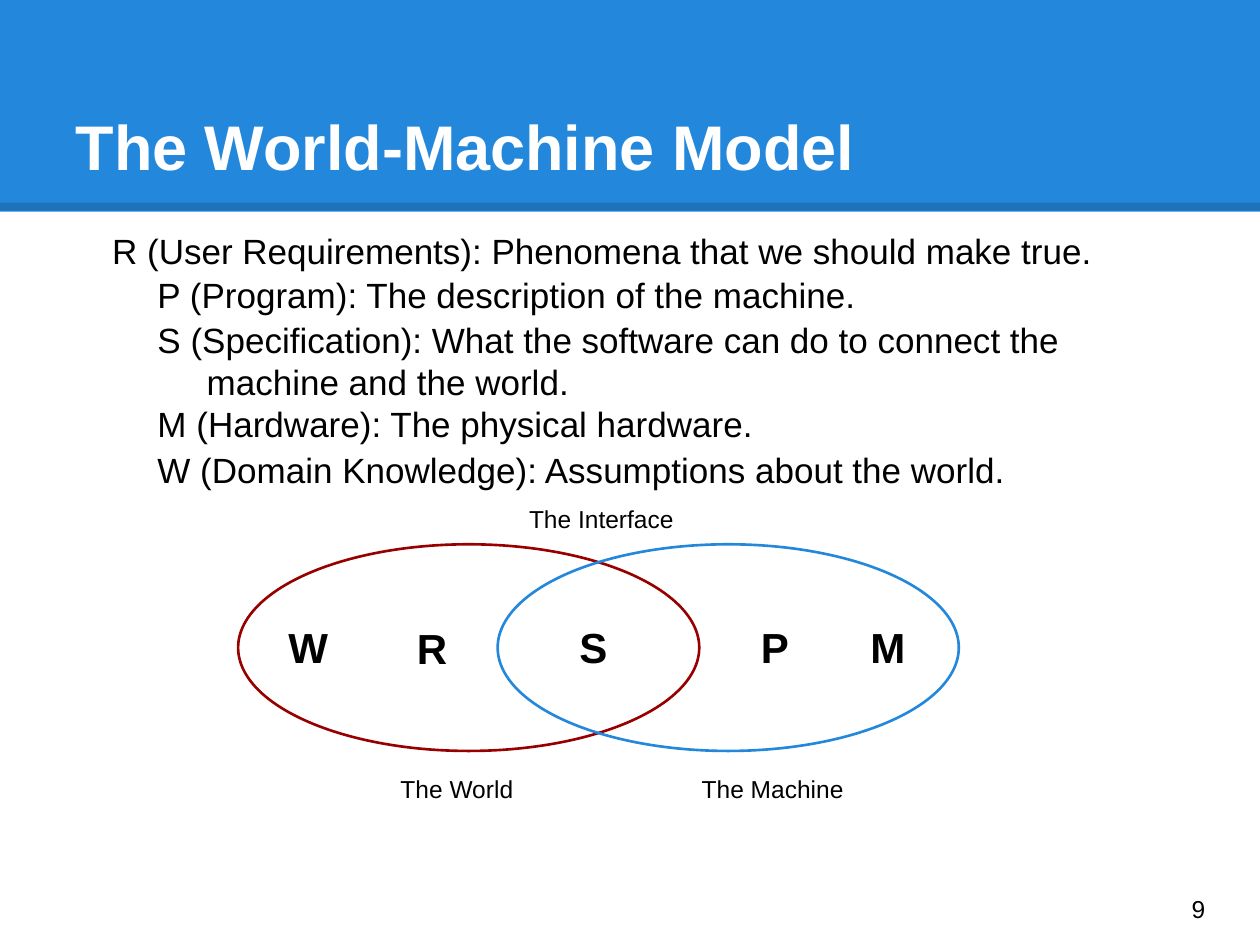
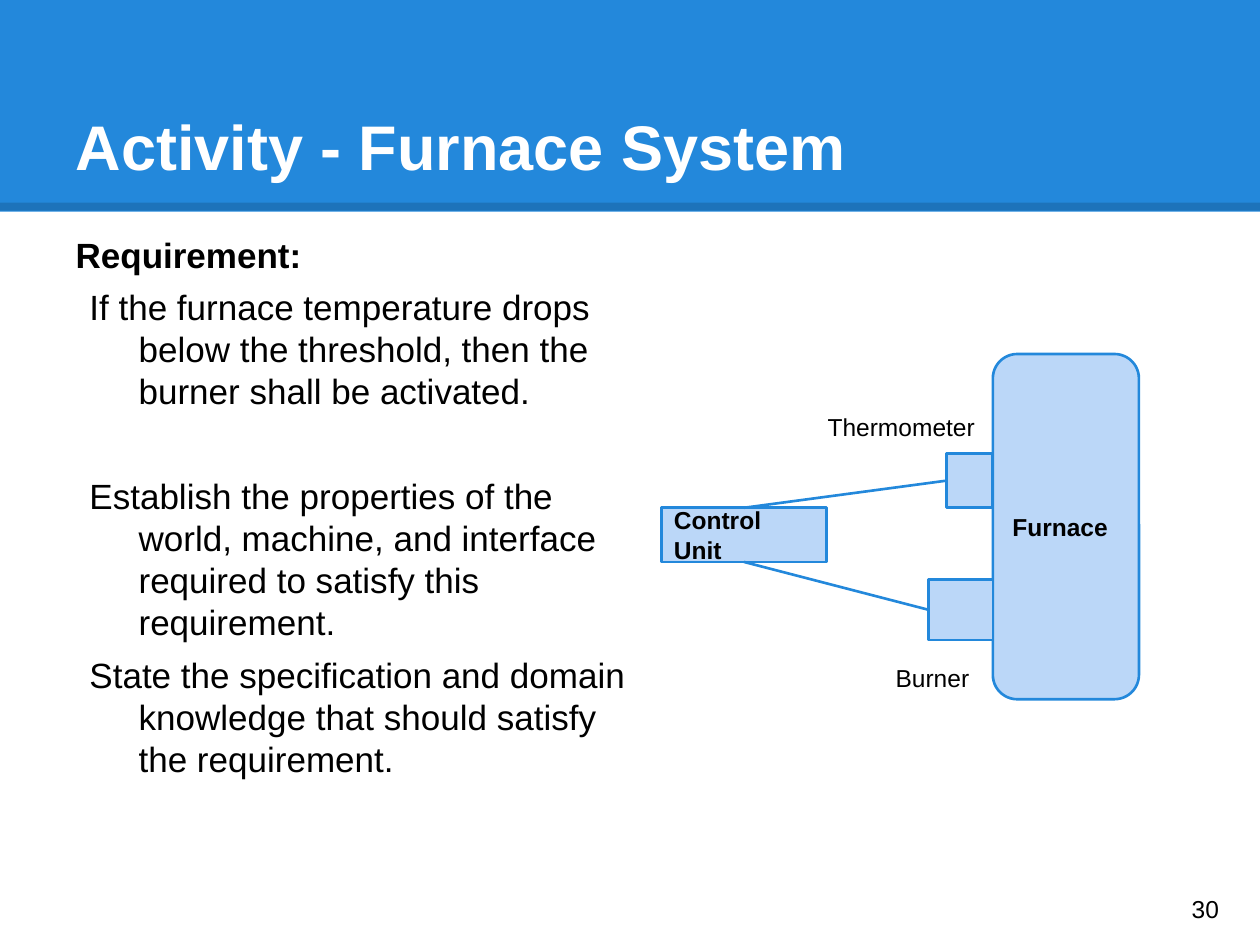
"""Build two lecture slides on the world-machine model."""
from dataclasses import dataclass

from lxml.etree import SubElement
from pptx import Presentation
from pptx.dml.color import RGBColor as Color
from pptx.enum.shapes import MSO_CONNECTOR as Connector, MSO_SHAPE as Preset
from pptx.enum.text import MSO_ANCHOR as Anchor, MSO_AUTO_SIZE as AutoSize, PP_ALIGN as Align
from pptx.oxml.ns import qn
from pptx.util import Inches, Pt


@dataclass(frozen=True)
class Theme:
    """Colours, type sizes and line widths shared by the slides."""
    font: str = "Arial"
    blue: Color = Color(0x23, 0x88, 0xDB)
    pale: Color = Color(0xBB, 0xD7, 0xF8)
    red: Color = Color(0x98, 0x00, 0x00)
    black: Color = Color(0, 0, 0)
    white: Color = Color(255, 255, 255)
    title: int = 36
    letter: int = 24
    body: int = 20
    label: int = 14
    leading: int = 24
    outline: float = 1.5
    rule: float = 4.5


THEME = Theme()
COLUMNS, ROWS = 100, 75
CELL = Inches(0.1)
TITLE_AREA = (5, 3, 90, 12.5)
NUMBER_AREA = (93.6, 69.3, 6, 5.7)
FIRST_LEFT, HANGING = 5, -3.9


def cells(*counts):
    """Turn counts of grid cells into lengths."""
    return [round(count * CELL) for count in counts]


def place(shape, area):
    """Put a shape on an area given as column, row, columns and rows."""
    shape.left, shape.top, shape.width, shape.height = cells(*area)


def set_frame(frame, anchor=Anchor.TOP):
    """Give a text frame the shared margins, wrapping and anchor."""
    frame.word_wrap = True
    frame.auto_size = AutoSize.NONE
    frame.vertical_anchor = anchor
    frame.margin_left = frame.margin_right = CELL
    frame.margin_top = frame.margin_bottom = CELL


def add_span(para, text, size, bold=False, color=THEME.black):
    """Add one formatted run to a left-aligned paragraph."""
    para.alignment = Align.LEFT
    span = para.add_run()
    span.text = text
    font = span.font
    font.name, font.size, font.bold = THEME.font, Pt(size), bold
    font.color.rgb = color


def add_label(page, text, area, size=THEME.label, bold=False, anchor=Anchor.TOP):
    """Add a text box with a single run."""
    box = page.shapes.add_textbox(*cells(*area))
    set_frame(box.text_frame, anchor)
    add_span(box.text_frame.paragraphs[0], text, size, bold)


def add_outline(page, preset, area, line=THEME.blue, fill=None, text=""):
    """Add an outlined shape, filled and captioned on request."""
    shape = page.shapes.add_shape(preset, *cells(*area))
    shape.shadow.inherit = False
    shape.line.color.rgb = line
    shape.line.width = Pt(THEME.outline)
    if fill is None:
        shape.fill.background()
    else:
        shape.fill.solid()
        shape.fill.fore_color.rgb = fill
    if text:
        set_frame(shape.text_frame, Anchor.MIDDLE)
        add_span(shape.text_frame.paragraphs[0], text, THEME.label, True)
    return shape


def add_line(page, color, width, ends=(0, 0, 0, 0)):
    """Add a straight connector without a shadow."""
    line = page.shapes.add_connector(Connector.STRAIGHT, *cells(*ends))
    line.line.color.rgb = color
    line.line.width = Pt(width)
    SubElement(line.element.spPr, qn("a:effectLst"))
    return line


def join(page, start, start_side, end, end_side):
    """Connect the middles of two sides."""
    line = add_line(page, THEME.blue, THEME.outline)
    line.begin_connect(start, start_side)
    line.end_connect(end, end_side)


def add_band(page):
    """Draw the title band and move it to the layout behind the titles."""
    band = page.shapes.add_shape(Preset.RECTANGLE, *cells(0, 0, COLUMNS, 16.8))
    band.shadow.inherit = False
    band.fill.solid()
    band.fill.fore_color.rgb = THEME.blue
    band.line.fill.background()
    rule = add_line(page, THEME.black, THEME.rule, (0, 16.4, COLUMNS, 16.4))
    tint = next(rule.element.iter(qn("a:srgbClr")))
    SubElement(tint, qn("a:alpha")).set("val", "15000")
    tree = page.slide_layout.shapes.element
    for position, shape in enumerate((band, rule), start=2):
        tree.insert(position, shape.element)


def add_page(deck, title, number):
    """Add a slide with its title and page number."""
    page = deck.slides.add_slide(deck.slide_layouts[1])
    heading = page.shapes.title
    place(heading, TITLE_AREA)
    set_frame(heading.text_frame, Anchor.BOTTOM)
    add_span(heading.text_frame.paragraphs[0], title, THEME.title, True, THEME.white)
    add_label(page, number, NUMBER_AREA, anchor=Anchor.MIDDLE)
    return page


def fill_body(page, area, items):
    """Fill the body with items of text, left indent, space before and weight."""
    body = page.placeholders[1]
    place(body, area)
    frame = body.text_frame
    set_frame(frame)
    for index, (text, left, before, bold) in enumerate(items):
        para = frame.add_paragraph() if index else frame.paragraphs[0]
        para.line_spacing = Pt(THEME.leading)
        para.space_before, para.space_after = Pt(before), Pt(0)
        margin, hanging = cells(left, HANGING if left else 0)
        properties = para._p.get_or_add_pPr()
        properties.set("marL", str(margin))
        properties.set("indent", str(hanging))
        SubElement(properties, qn("a:buNone"))
        add_span(para, text, THEME.body, bold)


def build_model(page):
    """Fill the slide that defines the model and shows it as two sets."""
    inner = FIRST_LEFT + 3.6
    fill_body(page, (6.8, 17.2, 85, 22), [
        ("R (User Requirements): Phenomena that we should make true.", FIRST_LEFT, 0, False),
        ("P (Program): The description of the machine.", inner, 1, False),
        ("S (Specification): What the software can do to connect the machine and the world.",
         inner, 2, False),
        ("M (Hardware): The physical hardware.", inner, 0, False),
        ("W (Domain Knowledge): Assumptions about the world.", inner, 2, False),
    ])
    for left, color in ((18.9, THEME.red), (39.5, THEME.blue)):
        add_outline(page, Preset.OVAL, (left, 43.2, 36.6, 16.4), color)
    for text, left, top, width in (("The World", 30.8, 60.4, 12.8),
                                   ("The Machine", 54.7, 60.4, 14.2),
                                   ("The Interface", 41, 39, 14.5)):
        add_label(page, text, (left, top, width, 4.4))
    for letter, left in (("W", 21.9), ("R", 32.1), ("S", 45), ("P", 59.4), ("M", 68.1)):
        top = 48.4 if letter == "R" else 48.3
        add_label(page, letter, (left, top, 4.8, 6), THEME.letter, True)


def build_furnace(page):
    """Fill the slide with the furnace task and its diagram."""
    gap = 6
    fill_body(page, (5, 17.5, 46.5, 51.4), [
        ("Requirement:", 0, 0, True),
        ("If the furnace temperature drops below the threshold, then the burner shall be "
         "activated.", FIRST_LEFT, gap, False),
        ("Establish the properties of the world, machine, and interface required to satisfy "
         "this requirement.", FIRST_LEFT, 2 * gap + THEME.leading, False),
        ("State the specification and domain knowledge that should satisfy the requirement.",
         FIRST_LEFT, gap, False),
    ])
    wall = 78.8
    add_outline(page, Preset.ROUNDED_RECTANGLE, (wall, 28.1, 11.6, 27.4),
                fill=THEME.pale, text="Furnace")
    control = add_outline(page, Preset.RECTANGLE, (52.5, 40.3, 13.1, 4.3),
                          fill=THEME.pale, text="Control Unit")
    thermometer, burner = [
        add_outline(page, Preset.RECTANGLE, (wall - width, top, width, height), fill=THEME.pale)
        for top, width, height in ((36, 3.7, 4.3), (46, 5.1, 4.8))]
    join(page, control, 0, thermometer, 1)
    join(page, control, 2, burner, 1)
    add_label(page, "Thermometer", (64.7, 31.7, 16, 4.3))
    add_label(page, "Burner", (70.1, 51.6, 11, 3))


def main():
    """Build and save the deck."""
    deck = Presentation()
    deck.slide_width, deck.slide_height = cells(COLUMNS, ROWS)
    model = add_page(deck, "The World-Machine Model", "9")
    add_band(model)
    build_model(model)
    build_furnace(add_page(deck, "Activity - Furnace System", "30"))
    deck.save("out.pptx")


if __name__ == "__main__":
    main()
